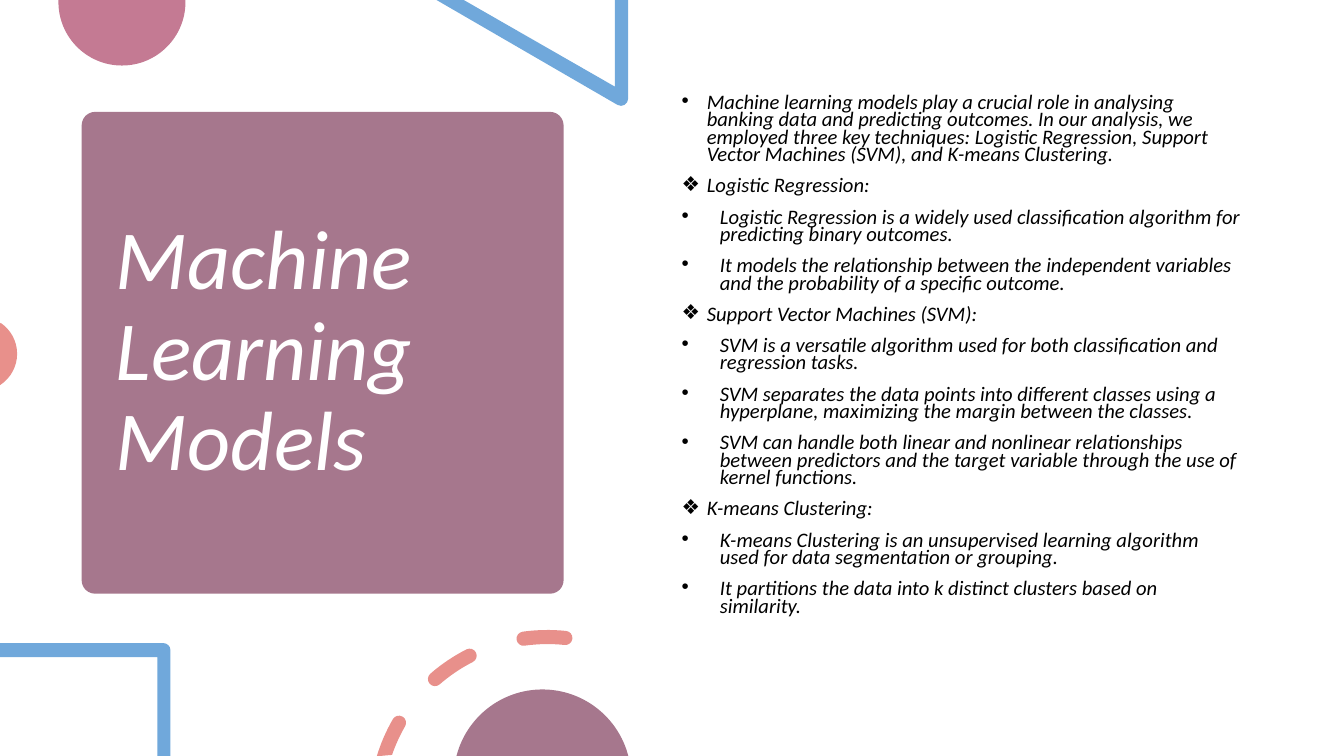
import math

from lxml import etree
from pptx import Presentation
from pptx.dml.color import RGBColor
from pptx.enum.shapes import MSO_SHAPE
from pptx.enum.text import MSO_ANCHOR, MSO_AUTO_SIZE, PP_ALIGN
from pptx.oxml.ns import qn
from pptx.util import Pt

PX = 9144
LEFT, TOP, MIDDLE = PP_ALIGN.LEFT, MSO_ANCHOR.TOP, MSO_ANCHOR.MIDDLE
NO_AUTOFIT = MSO_AUTO_SIZE.NONE
RECTANGLE, ROUNDED = MSO_SHAPE.RECTANGLE, MSO_SHAPE.ROUNDED_RECTANGLE

WHITE = RGBColor(0xFF, 0xFF, 0xFF)
BLACK = RGBColor(0x00, 0x00, 0x00)
MAUVE = RGBColor(0xA6, 0x77, 0x8D)
PINK = RGBColor(0xC4, 0x7A, 0x93)
BLUE = RGBColor(0x70, 0xA8, 0xDB)
SALMON = RGBColor(0xE8, 0x90, 0x8B)

INTRO = (
    "Machine learning models play a crucial role in analysing banking data and "
    "predicting outcomes. In our analysis, we employed three key techniques: "
    "Logistic Regression, Support Vector Machines (SVM), and K-means Clustering."
)
TECHNIQUES = {
    "Logistic Regression:": [
        "Logistic Regression is a widely used classification algorithm for "
        "predicting binary outcomes.",
        "It models the relationship between the independent variables and the "
        "probability of a specific outcome.",
    ],
    "Support Vector Machines (SVM):": [
        "SVM is a versatile algorithm used for both classification and regression tasks.",
        "SVM separates the data points into different classes using a hyperplane, "
        "maximizing the margin between the classes.",
        "SVM can handle both linear and nonlinear relationships between predictors "
        "and the target variable through the use of kernel functions.",
    ],
    "K-means Clustering:": [
        "K-means Clustering is an unsupervised learning algorithm used for data "
        "segmentation or grouping.",
        "It partitions the data into k distinct clusters based on similarity.",
    ],
}


def set_all(target, values):
    """Set every attribute in a dict on one object."""
    for name, value in values.items():
        setattr(target, name, value)


def polar(centre_x, centre_y, radius, angle):
    """Return the point at an angle in degrees, clockwise from the right."""
    turn = math.radians(angle)
    return centre_x + radius * math.cos(turn), centre_y + radius * math.sin(turn)


def corners(*points):
    """Return one straight step for each point."""
    return [[point] for point in points]


def arc(centre_x, centre_y, radius, start, end):
    """Return a start point and the Bézier steps of an arc."""
    count = math.ceil(abs(end - start) / 90)
    sweep = (end - start) / count
    reach = radius * 4 / 3 * math.tan(math.radians(sweep / 4))
    steps = corners(polar(centre_x, centre_y, radius, start))
    for index in range(count):
        first = start + index * sweep
        last = first + sweep
        begin = polar(centre_x, centre_y, radius, first)
        finish = polar(centre_x, centre_y, radius, last)
        steps.append([polar(*begin, reach, first + 90), polar(*finish, reach, last - 90), finish])
    return steps


def dash(centre_x, centre_y, radius, half, start, end, round_start=True):
    """Return the outline of a thick arc with rounded ends."""
    steps = arc(centre_x, centre_y, radius + half, start, end)
    steps += arc(*polar(centre_x, centre_y, radius, end), half, end, end + 180)[1:]
    if not round_start:
        return steps + arc(centre_x, centre_y, radius - half, end, start + 2)[1:]
    steps += arc(centre_x, centre_y, radius - half, end, start)[1:]
    return steps + arc(*polar(centre_x, centre_y, radius, start), half, start + 180, start + 360)[1:]


def paint(shape, colour):
    """Give a shape a flat fill without line or shadow."""
    shape.shadow.inherit = False
    shape.fill.solid()
    shape.fill.fore_color.rgb = colour
    shape.line.fill.background()


def add_outline(page, colour, *contours):
    """Draw one filled freeform, turning each three-point step into a curve."""
    builder = None
    for contour in contours:
        first, *rest = [(x * PX, y * PX) for step in contour for x, y in step]
        if builder:
            builder.move_to(*first)
        else:
            builder = page.shapes.build_freeform(*first, scale=1.0)
        builder.add_line_segments(rest, close=True)
    shape = builder.convert_to_shape()
    lines = iter(list(shape._element.iter(qn("a:lnTo"))))
    for contour in contours:
        for step in contour[1:]:
            curve, *others = [next(lines) for _ in step]
            if others:
                curve.tag = qn("a:cubicBezTo")
            for line in others:
                curve.append(line[0])
                line.getparent().remove(line)
    paint(shape, colour)


def add_panel(page, kind, left, top, width, height, colour):
    """Draw a flat preset shape."""
    panel = page.shapes.add_shape(kind, left * PX, top * PX, width * PX, height * PX)
    paint(panel, colour)
    return panel


def place(box, left, top, width, height, anchor):
    """Move a placeholder and fix its text frame."""
    set_all(box, {"left": left * PX, "top": top * PX, "width": width * PX, "height": height * PX})
    set_all(box.text_frame, {"word_wrap": True, "auto_size": NO_AUTOFIT, "vertical_anchor": anchor})


def write(para, text, size, colour, spacing, before):
    """Write italic text into a paragraph."""
    set_all(para, {"alignment": LEFT, "line_spacing": spacing, "space_before": Pt(before)})
    span = para.add_run()
    span.text = text
    set_all(span.font, {"name": "Calibri", "size": Pt(size), "italic": True})
    span.font.color.rgb = colour


def add_bullet(para, mark, indent):
    """Give a paragraph a hanging bullet."""
    properties = para._p.get_or_add_pPr()
    properties.set("marL", str(indent * PX))
    properties.set("indent", str(-indent * PX))
    etree.SubElement(properties, qn("a:buFont")).set("typeface", "Arial")
    etree.SubElement(properties, qn("a:buChar")).set("char", mark)


def add_decorations(page):
    """Draw the coloured shapes around the title card."""
    add_outline(page, PINK, corners((58, 0), (184, 0)) + arc(121, 2, 63, 0, 180))
    add_outline(page, BLUE, corners((623, 0), (610, 0), (610, 86), (460, 0), (433, 0))
                + arc(616, 98, 7, 120, 0))
    add_outline(page, SALMON, corners((0, 382), (0, 321)) + arc(-20, 351, 37, -56, 56))
    add_outline(page, BLUE, corners((0, 652), (0, 638)) + arc(162, 645, 7, -90, 0)
                + corners((169, 750), (156, 750), (156, 652)))
    ring = (543, 802, 170, 7)
    add_outline(page, SALMON, dash(*ring, 197, 210, False), dash(*ring, 229, 243),
                dash(*ring, 262, 276))
    add_outline(page, MAUVE, arc(538, 772, 88, 194.5, 345.5))


def main():
    """Build the slide and save it."""
    deck = Presentation()
    set_all(deck, {"slide_width": 1333 * PX, "slide_height": 750 * PX})
    page = deck.slides.add_slide(deck.slide_layouts[1])
    title, body = page.placeholders

    backdrop = add_panel(page, RECTANGLE, 0, 0, 1333, 750, WHITE)
    card = add_panel(page, ROUNDED, 81, 111, 478, 478, MAUVE)
    card.adjustments[0] = 0.028
    for panel in (backdrop, card):
        title._element.addprevious(panel._element)
    add_decorations(page)
    page.shapes._spTree.append(body._element)

    place(title, 105, 122, 431, 456, MIDDLE)
    write(title.text_frame.paragraphs[0], "Machine Learning Models", 60, WHITE, 0.9, 0)

    place(body, 666, 90, 575, 535, TOP)
    items = [(INTRO, "•", 25)]
    for heading, points in TECHNIQUES.items():
        items.append((heading, "❖", 25))
        items += [(point, "•", 38) for point in points]
    for index, (text, mark, indent) in enumerate(items):
        para = body.text_frame.add_paragraph() if index else body.text_frame.paragraphs[0]
        write(para, text, 14.7, BLACK, 0.7, 10)
        add_bullet(para, mark, indent)

    deck.save("out.pptx")


if __name__ == "__main__":
    main()
